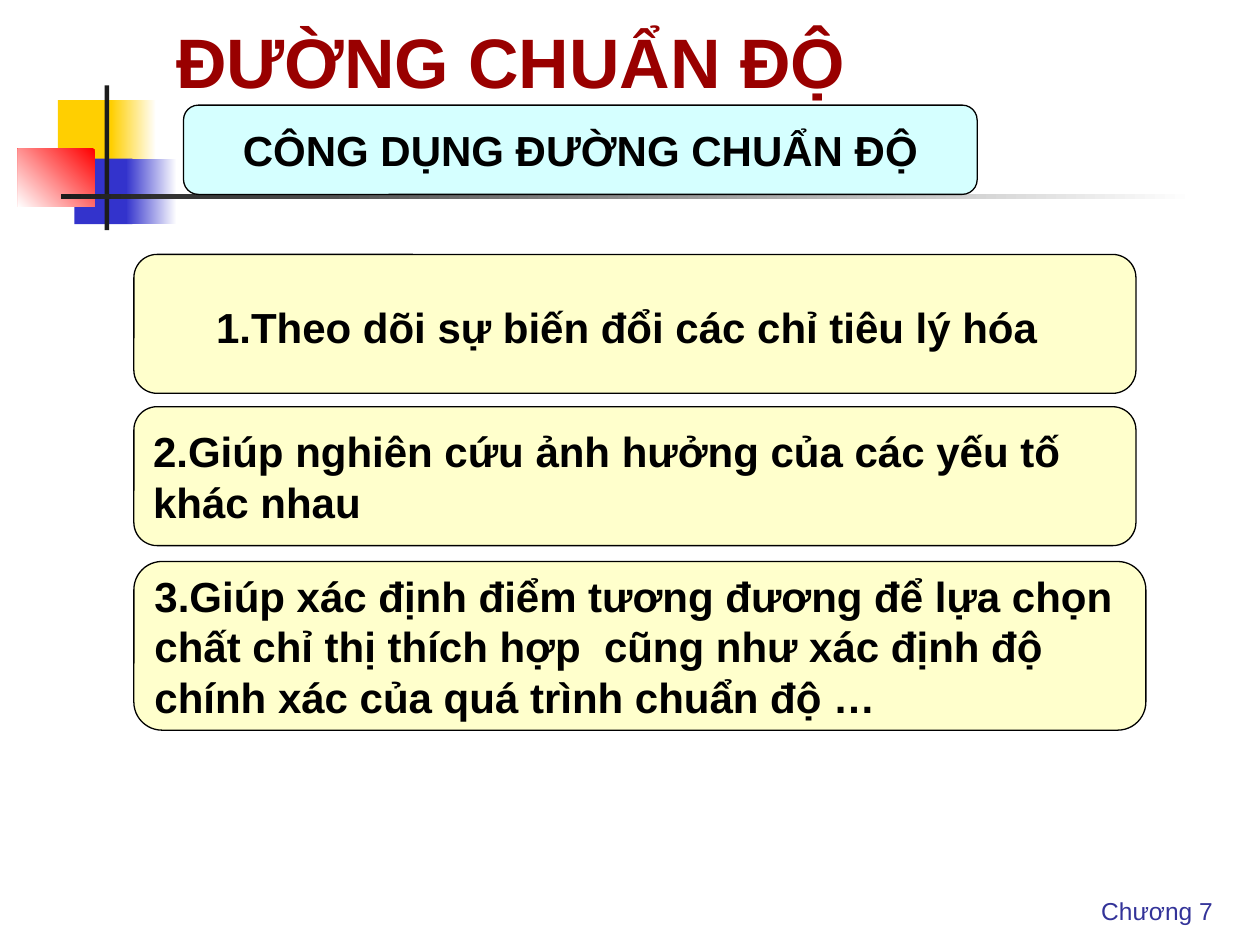
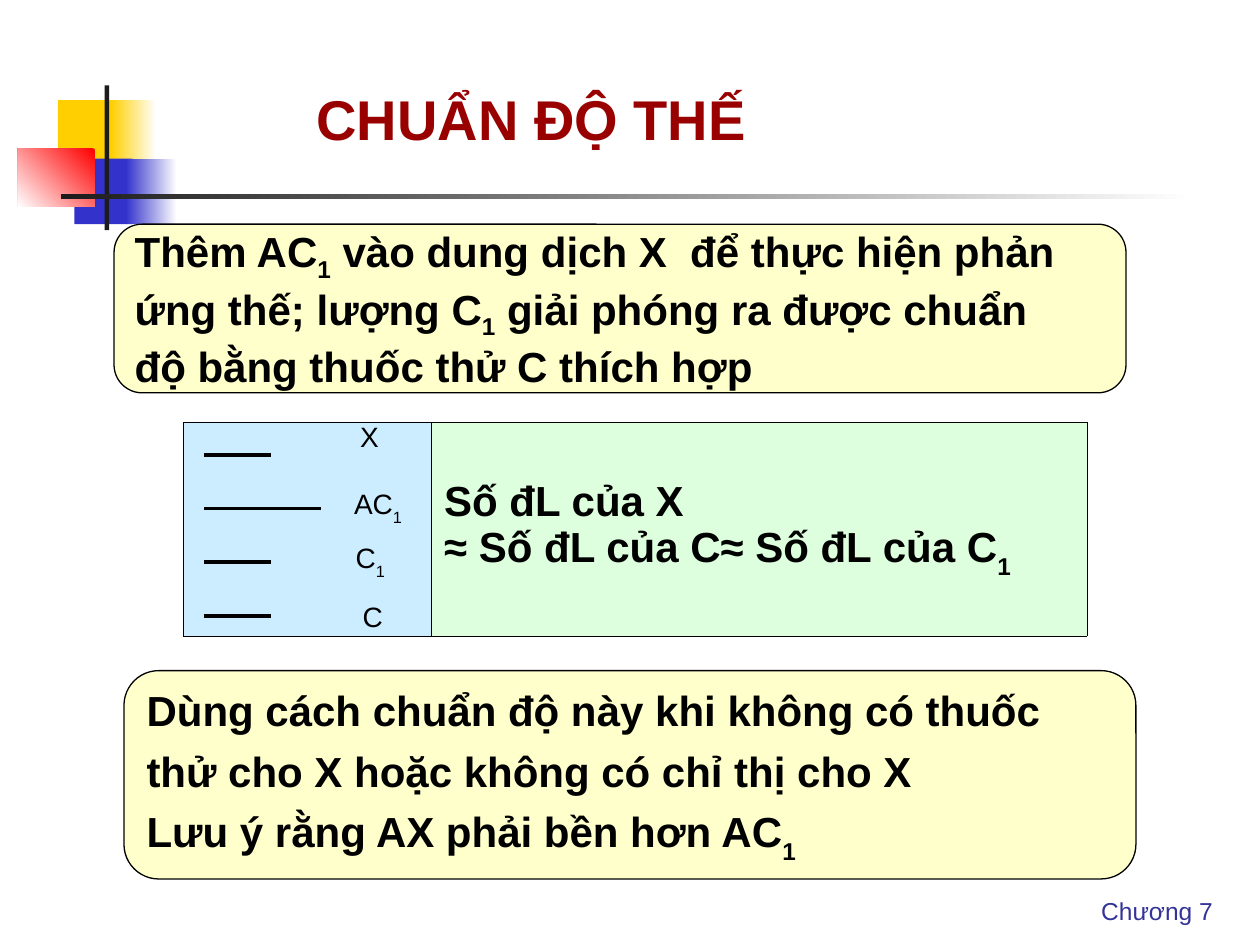
"""Build two slides on titration curves and displacement titration."""
from dataclasses import dataclass

from lxml.etree import SubElement
from pptx import Presentation
from pptx.dml.color import RGBColor
from pptx.enum.shapes import MSO_CONNECTOR, MSO_SHAPE
from pptx.enum.text import MSO_ANCHOR, PP_ALIGN
from pptx.oxml.ns import qn
from pptx.slide import Slide
from pptx.text.text import TextFrame
from pptx.util import Cm, Pt

COLOURS = {
    "white": "FFFFFF",
    "black": "000000",
    "yellow": "FFCF01",
    "blue": "3333CC",
    "red": "FF0000",
    "charcoal": "1C1C1C",
    "title": "990000",
    "footer": "333399",
    "heading": "D5FFFF",
    "card": "FFFFCC",
    "scheme": "CCECFF",
    "formula": "DDFFDD",
}
FONT = "Arial"

TONELESS = "aăâeêioôơuưy"
TONED = {
    0x300: "àằầèềìòồờùừỳ",
    0x301: "áắấéếíóốớúứý",
    0x303: "ãẵẫẽễĩõỗỡũữỹ",
    0x309: "ảẳẩẻểỉỏổởủửỷ",
    0x323: "ạặậẹệịọộợụựỵ",
}
COMBINING_TONES = str.maketrans({
    toned: plain + chr(mark)
    for mark, letters in TONED.items()
    for toned, plain in zip(letters + letters.upper(), TONELESS + TONELESS.upper())
})


@dataclass(frozen=True)
class Box:
    """Place and size in centimetres."""
    left: float
    top: float
    width: float
    height: float

    def emu(self) -> tuple[Cm, Cm, Cm, Cm]:
        """Return the four lengths for python-pptx."""
        return Cm(self.left), Cm(self.top), Cm(self.width), Cm(self.height)


@dataclass(frozen=True)
class Ornament:
    """Rectangle of the corner motif, plain or fading from start to end."""
    box: Box
    start: str
    end: str = ""
    angle: int = 180


@dataclass(frozen=True)
class Style:
    """Look of a block of paragraphs."""
    size: float = 24
    bold: bool = True
    colour: str = "black"
    align: PP_ALIGN = PP_ALIGN.LEFT
    space_before: float = 0
    line_spacing: float = 1.0
    indent: float = 0
    subscript: int = -30
    combining_tones: bool = True


@dataclass(frozen=True)
class Card:
    """Rounded panel with its lines of text."""
    box: Box
    lines: tuple[str, ...]
    style: Style = Style()
    fill: str = "card"


@dataclass(frozen=True)
class Species:
    """Substance in the scheme: its label and the length of its bar."""
    label: str
    box: Box
    bar: float


ORNAMENTS = (
    Ornament(Box(1.17, 2.02, 1.22, 1.32), "yellow"),
    Ornament(Box(2.24, 2.02, 0.91, 1.32), "white", "yellow"),
    Ornament(Box(1.5, 3.2, 1.17, 1.32), "blue"),
    Ornament(Box(2.54, 3.2, 1.02, 1.32), "white", "blue"),
    Ornament(Box(0.36, 3, 1.55, 1.17), "red", "white", 225),
    Ornament(Box(2.11, 1.72, 0.09, 2.92), "charcoal"),
    Ornament(Box(1.23, 3.92, 22.86, 0.09), "white", "charcoal"),
)
FOOTER_BOX = Box(21.95, 17.93, 2.95, 0.86)
FOOTER_STYLE = Style(14, False, "footer")
LABEL_STYLE = Style(16, False)

USES = (
    Card(Box(3.7, 2.12, 16, 1.8), ("CÔNG DỤNG ĐƯỜNG CHUẨN ĐỘ",),
         Style(align=PP_ALIGN.CENTER, space_before=3), "heading"),
    Card(Box(2.7, 5.13, 20.2, 2.8),
         ("1.Theo dõi sự biến đổi các chỉ tiêu lý hóa",),
         Style(space_before=1.5, line_spacing=1.1, indent=1.27)),
    Card(Box(2.7, 8.2, 20.2, 2.8),
         ("2.Giúp nghiên cứu ảnh hưởng của các yếu tố", "khác nhau")),
    Card(Box(2.7, 11.32, 20.4, 3.4),
         ("3.Giúp xác định điểm tương đương để lựa chọn",
          "chất chỉ thị thích hợp  cũng như xác định độ",
          "chính xác của quá trình chuẩn độ …")),
)
DISPLACEMENT = (
    Card(Box(2.3, 4.52, 20.4, 3.4),
         ("Thêm AC~1~ vào dung dịch X  để thực hiện phản",
          "ứng thế; lượng C~1~ giải phóng ra được chuẩn",
          "độ bằng thuốc thử C thích hợp"),
         Style(subscript=-25, combining_tones=False)),
    Card(Box(2.5, 13.52, 20.4, 4.2),
         ("Dùng cách chuẩn độ này khi không có thuốc",
          "thử cho X hoặc không có chỉ thị cho X",
          "Lưu ý rằng AX phải bền hơn AC~1~"),
         Style(space_before=6)),
)
FORMULA = ("Số đL của X", "≈ Số đL của C≈ Số đL của C~1~")
SPECIES = (
    Species("X", Box(7.01, 8.33, 0.81, 0.94), 1.36),
    Species("AC~1~", Box(6.89, 9.68, 1.47, 1.07), 2.36),
    Species("C~1~", Box(6.92, 10.77, 1.09, 1.07), 1.36),
    Species("C", Box(7.06, 11.96, 0.91, 0.94), 1.36),
)
BAR_LEFT, BAR_TOP, BAR_STEP = 4.11, 9.17, 1.08


def rgb(name: str) -> RGBColor:
    """Look up a named colour."""
    return RGBColor.from_string(COLOURS[name])


def write(frame: TextFrame, lines: tuple[str, ...], style: Style) -> None:
    """Write one paragraph a line; text between tildes is subscript."""
    for index, line in enumerate(lines):
        paragraph = frame.add_paragraph() if index else frame.paragraphs[0]
        paragraph.alignment = style.align
        paragraph.space_before = Pt(style.space_before)
        paragraph.line_spacing = style.line_spacing
        paragraph.font.name = FONT
        paragraph.font.size = Pt(style.size)
        paragraph.font.bold = style.bold
        paragraph.font.color.rgb = rgb(style.colour)
        if style.indent:
            paragraph._p.get_or_add_pPr().set("marL", str(Cm(style.indent)))
        spelled = line.translate(COMBINING_TONES) if style.combining_tones else line
        for position, part in enumerate(spelled.split("~")):
            if part:
                run = paragraph.add_run()
                run.text = part
                if position % 2:
                    run._r.get_or_add_rPr().set("baseline", str(style.subscript * 1000))


def add_text(slide: Slide, box: Box, text: str, style: Style,
             anchor: MSO_ANCHOR = MSO_ANCHOR.TOP, wrap: bool = True) -> None:
    """Add a line of free text."""
    frame = slide.shapes.add_textbox(*box.emu()).text_frame
    frame.word_wrap = wrap
    frame.vertical_anchor = anchor
    write(frame, (text,), style)


def add_ornament(slide: Slide, ornament: Ornament) -> None:
    """Draw one rectangle of the corner motif."""
    block = slide.shapes.add_shape(MSO_SHAPE.RECTANGLE, *ornament.box.emu())
    block.shadow.inherit = False
    block.line.fill.background()
    if ornament.end:
        block.fill.gradient()
        block.fill.gradient_angle = ornament.angle
        for stop, name in zip(block.fill.gradient_stops, (ornament.start, ornament.end)):
            stop.color.rgb = rgb(name)
    else:
        block.fill.solid()
        block.fill.fore_color.rgb = rgb(ornament.start)


def add_card(slide: Slide, card: Card) -> None:
    """Draw a rounded panel with its text."""
    panel = slide.shapes.add_shape(MSO_SHAPE.ROUNDED_RECTANGLE, *card.box.emu())
    panel.shadow.inherit = False
    panel.fill.solid()
    panel.fill.fore_color.rgb = rgb(card.fill)
    panel.line.color.rgb = rgb("black")
    panel.line.width = Pt(0.75)
    panel.text_frame.word_wrap = False
    panel.text_frame.vertical_anchor = MSO_ANCHOR.MIDDLE
    write(panel.text_frame, card.lines, card.style)


def add_equivalence_table(slide: Slide) -> None:
    """Add the table that holds the scheme and the formula."""
    table = slide.shapes.add_table(1, 2, *Box(3.7, 8.52, 18.21, 4.3).emu()).table
    for column, width in zip(table.columns, (5, 13.21)):
        column.width = Cm(width)
    for cell, fill in zip(table.rows[0].cells, ("scheme", "formula")):
        properties = cell._tc.get_or_add_tcPr()
        for side in ("a:lnL", "a:lnR", "a:lnT", "a:lnB"):
            border = SubElement(properties, qn(side), w=str(Pt(0.45)))
            solid = SubElement(border, qn("a:solidFill"))
            SubElement(solid, qn("a:srgbClr"), val=COLOURS["black"])
        cell.fill.solid()
        cell.fill.fore_color.rgb = rgb(fill)
    formula = table.cell(0, 1)
    formula.vertical_anchor = MSO_ANCHOR.MIDDLE
    write(formula.text_frame, FORMULA, Style())


def add_species(slide: Slide, row: int, species: Species) -> None:
    """Draw the bar and the label of a substance."""
    height = Cm(BAR_TOP + row * BAR_STEP)
    bar = slide.shapes.add_connector(MSO_CONNECTOR.STRAIGHT, Cm(BAR_LEFT), height,
                                     Cm(BAR_LEFT + species.bar), height)
    bar.line.color.rgb = rgb("black")
    bar.line.width = Pt(2.25)
    SubElement(bar._element.spPr, qn("a:effectLst"))
    add_text(slide, species.box, species.label, LABEL_STYLE, MSO_ANCHOR.MIDDLE, False)


def add_base_slide(deck: Presentation, title: str, box: Box, size: float) -> Slide:
    """Add a slide with corner motif, footer and title."""
    slide = deck.slides.add_slide(deck.slide_layouts[6])
    for ornament in ORNAMENTS:
        add_ornament(slide, ornament)
    add_text(slide, FOOTER_BOX, "Chương 7", FOOTER_STYLE)
    add_text(slide, box, title, Style(size, colour="title"), MSO_ANCHOR.BOTTOM)
    return slide


def main() -> None:
    """Build and save the deck."""
    deck = Presentation()
    deck.slide_width, deck.slide_height = Cm(25.4), Cm(19.05)

    curve = add_base_slide(deck, "ĐƯỜNG CHUẨN ĐỘ", Box(3.3, 0, 14.91, 2.2), 40)
    for card in USES:
        add_card(curve, card)

    displacement = add_base_slide(deck, "CHUẨN ĐỘ THẾ", Box(6.13, 1.72, 17.25, 1.47), 32)
    add_equivalence_table(displacement)
    for row, species in enumerate(SPECIES):
        add_species(displacement, row, species)
    for card in DISPLACEMENT:
        add_card(displacement, card)

    deck.save("out.pptx")


if __name__ == "__main__":
    main()
